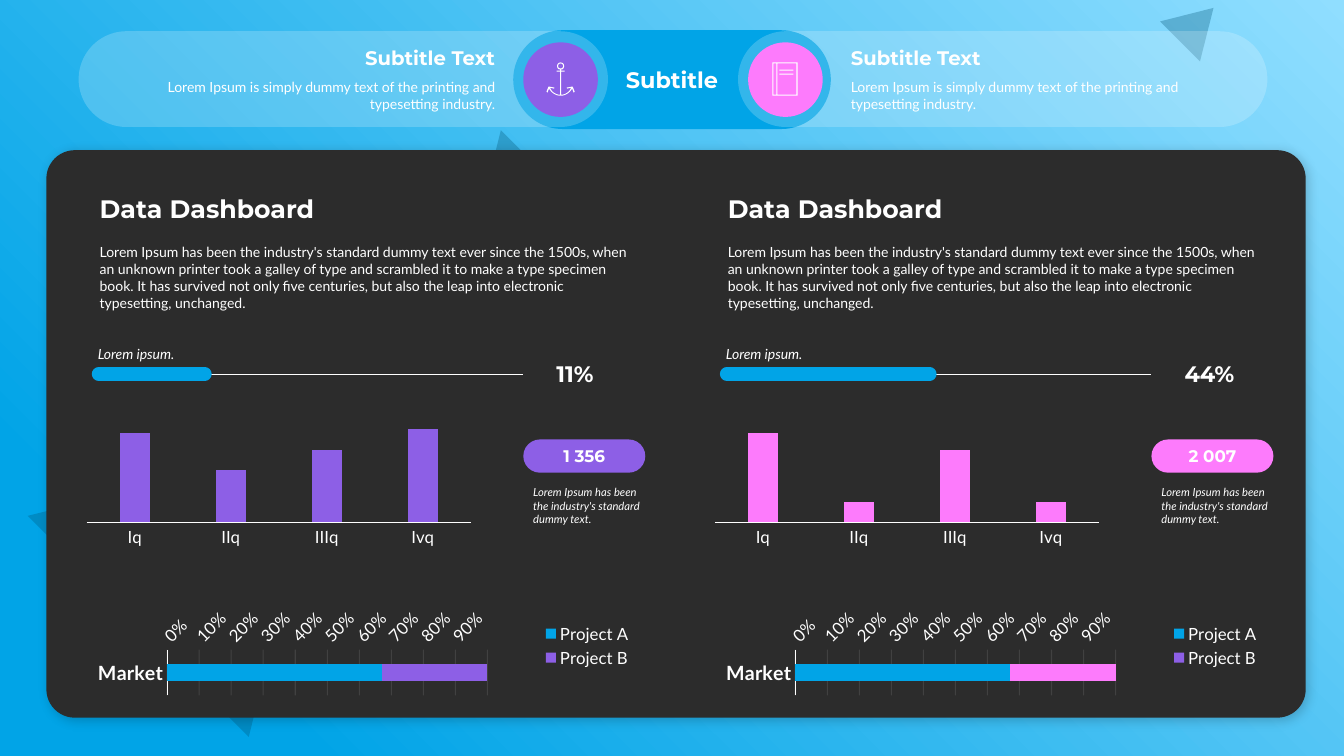
from math import cos, pi, sin

from lxml import etree
from pptx import Presentation
from pptx.chart.data import CategoryChartData
from pptx.dml.color import RGBColor
from pptx.enum.chart import XL_CHART_TYPE as Chart, XL_LEGEND_POSITION as LegendPosition, XL_TICK_MARK as Tick
from pptx.enum.shapes import MSO_CONNECTOR as Connector, MSO_SHAPE as Shape
from pptx.enum.text import MSO_ANCHOR as Anchor, MSO_AUTO_SIZE as AutoSize, PP_ALIGN as Align
from pptx.oxml import parse_xml
from pptx.oxml.ns import nsdecls, qn
from pptx.util import Inches, Pt

# Content
SUBTITLE = "Subtitle"
SIDE_TITLE = "Subtitle Text"
SIDE_TEXT = "Lorem Ipsum is simply dummy text of the printing and typesetting industry."
BODY = ("Lorem Ipsum has been the industry's standard dummy text ever since the 1500s, when an unknown "
        "printer took a galley of type and scrambled it to make a type specimen book. It has survived not "
        "only five centuries, but also the leap into electronic typesetting, unchanged.")
NOTE = "Lorem Ipsum has been the industry's standard dummy text."
QUARTERS = ["Iq", "IIq", "IIIq", "Ivq"]
MARKET = {"Project A": 67, "Project B": 33}
DASHBOARDS = [
    dict(accent="purple", percent="11%", bar=1.05, total="1 356", values=[96, 56, 78, 100], top=112),
    dict(accent="pink", percent="44%", bar=2.01, total="2 007", values=[100, 23, 81, 23], top=117),
]
TRIANGLES = [(0.73, 4.02, 3.1, 2.57, 45), (4.57, 1.5, 0.9, 0.75, 225), (11.59, 0.01, 0.56, 0.47, 45)]

# Right half of the anchor in thousandths of an inch; a group of three points is a curve
ANCHOR_HALF = [
    (0, 330), [(50, 330), (90, 300), (115, 260)], (130, 300), (140, 290), (120, 240), (110, 240),
    (60, 250), (65, 260), (105, 250), [(90, 290), (50, 320), (5, 320)], (5, 90), (40, 90), (40, 80),
    (5, 80), (5, 70), [(20, 70), (35, 60), (35, 35)], [(35, 15), (20, 0), (0, 0)],
]
BOOK_FRAMES = [(0, 0, 250, 330), (10, 10, 40, 320), (50, 10, 240, 320)]

THEME = dict(
    blue="01A4E7", light="90DEFF", navy="005274", dark="2C2C2C", white="FFFFFF",
    purple="8D5FE6", pink="FD7BFC", heading="Montserrat", body="Lato",
    title=18, big=16, side=14, label=12, text=10, small=8,
)
COLUMN_STEP = 6.23

presentation = Presentation()
presentation.slide_width, presentation.slide_height = Inches(13.33), Inches(7.5)
slide = presentation.slides.add_slide(presentation.slide_layouts[6])


def color(name):
    return RGBColor.from_string(THEME[name])


def set_alpha(elements, percent):
    for element in elements:
        etree.SubElement(element, qn("a:alpha")).set("val", str(percent * 1000))


def paint(shape, fill, alpha=None):
    shape.shadow.inherit = False
    shape.fill.solid()
    shape.fill.fore_color.rgb = color(fill)
    shape.line.fill.background()
    if alpha:
        set_alpha(shape.element.xpath("./p:spPr/a:solidFill/a:srgbClr"), alpha)
    return shape


def add_shape(kind, left, top, width, height, fill, alpha=None, radius=None):
    shape = slide.shapes.add_shape(kind, Inches(left), Inches(top), Inches(width), Inches(height))
    if radius is not None:
        shape.adjustments[0] = radius
    return paint(shape, fill, alpha)


def write(shape, text, size="text", font="body", bold=False, italic=False, align=Align.LEFT,
          anchor=Anchor.MIDDLE, after=0, insets=(0.1, 0.05, 0.1, 0.05)):
    frame = shape.text_frame
    frame.word_wrap = True
    frame.vertical_anchor = anchor
    frame.margin_left, frame.margin_top, frame.margin_right, frame.margin_bottom = map(Inches, insets)
    paragraph = frame.add_paragraph() if frame.text else frame.paragraphs[0]
    paragraph.alignment, paragraph.space_after = align, Pt(after)
    run = paragraph.add_run()
    run.text = text
    run.font.name, run.font.size = THEME[font], Pt(THEME[size])
    run.font.bold, run.font.italic, run.font.color.rgb = bold, italic, color("white")


def add_text(left, top, width, height, text, **style):
    box = slide.shapes.add_textbox(Inches(left), Inches(top), Inches(width), Inches(height))
    write(box, text, **style)
    box.text_frame.auto_size = AutoSize.SHAPE_TO_FIT_TEXT


def add_line(left, right, y, line_color, width, cap="flat"):
    line = slide.shapes.add_connector(Connector.STRAIGHT, Inches(left), Inches(y), Inches(right), Inches(y))
    line.line.color.rgb, line.line.width = color(line_color), Pt(width)
    line.line.fill.solid()
    line.line.color.rgb = color(line_color)
    line.element.spPr.find(qn("a:ln")).set("cap", cap)
    etree.SubElement(line.element.spPr, qn("a:effectLst"))


def add_outline(contours, left, top):
    builder = slide.shapes.build_freeform(*contours[0][0], scale=914.4)
    for index, contour in enumerate(contours):
        if index:
            builder.move_to(*contour[0])
        builder.add_line_segments(contour[1:], close=True)
    return paint(builder.convert_to_shape(Inches(left), Inches(top)), "white")


def flatten(outline, steps=8):
    points = []
    for part in outline:
        if isinstance(part, tuple):
            points.append(part)
            continue
        curve = [points[-1], *part]
        for step in range(1, steps + 1):
            t = step / steps
            weights = [(1 - t) ** 3, 3 * t * (1 - t) ** 2, 3 * t * t * (1 - t), t ** 3]
            points.append(tuple(sum(w * p[axis] for w, p in zip(weights, curve)) for axis in (0, 1)))
    return points


def add_chart(kind, left, top, width, height, categories, series, colors, gap, overlap, plot_area):
    data = CategoryChartData()
    data.categories = categories
    for name, values in series:
        data.add_series(name, values)
    chart = slide.shapes.add_chart(kind, Inches(left), Inches(top), Inches(width), Inches(height), data).chart
    chart.has_title = chart.has_legend = False
    chart.font.name, chart.font.size, chart.font.color.rgb = THEME["body"], Pt(THEME["label"]), color("white")
    plot = chart.plots[0]
    plot.vary_by_categories, plot.gap_width, plot.overlap = False, gap, overlap
    for item, fill in zip(plot.series, colors):
        item.format.fill.solid()
        item.format.fill.fore_color.rgb = color(fill)
    for axis in (chart.category_axis, chart.value_axis):
        axis.major_tick_mark = axis.minor_tick_mark = Tick.NONE
    axis_line = chart.category_axis.format.line
    axis_line.color.rgb, axis_line.width = color("white"), Pt(0.75)
    # Fixed inner plot area
    area = chart.element.xpath("c:chart/c:plotArea")[0]
    for layout in area.findall(qn("c:layout")):
        area.remove(layout)
    settings = [("layoutTarget", "inner"), ("xMode", "edge"), ("yMode", "edge"), *zip("xywh", plot_area)]
    tags = "".join(f'<c:{tag} val="{value}"/>' for tag, value in settings)
    area.insert(0, parse_xml(f'<c:layout {nsdecls("c")}><c:manualLayout>{tags}</c:manualLayout></c:layout>'))
    return chart


def add_dashboard(x, accent, percent, bar, total, values, top):
    pill = add_shape(Shape.ROUNDED_RECTANGLE, x + 5.19, 4.36, 1.21, 0.33, accent, radius=0.5)
    write(pill, total, size="label", font="heading", bold=True, align=Align.CENTER, insets=(0, 0, 0, 0))
    add_text(x + 5.19, 4.77, 1.38, 0.5, NOTE, size="small", italic=True, anchor=Anchor.TOP)
    # Quarterly columns
    columns = add_chart(Chart.COLUMN_CLUSTERED, x + 0.78, 3.98, 4.01, 1.65, QUARTERS, [("Series 1", values)],
                        [accent], 219, -27, (0.02, 0.1, 0.95, 0.63))
    columns.value_axis.has_major_gridlines = columns.value_axis.visible = False
    columns.value_axis.minimum_scale, columns.value_axis.maximum_scale = 0, top
    # Market share
    market = add_chart(Chart.BAR_STACKED_100, x + 0.89, 5.89, 5.48, 1.03, ["Market"],
                       [(name, [value]) for name, value in MARKET.items()], ["blue", "purple"],
                       155, 100, (0.14, 0.54, 0.58, 0.44))
    point_fill = market.plots[0].series[1].points[0].format.fill
    point_fill.solid()
    point_fill.fore_color.rgb = color(accent)
    market.has_legend = True
    market.legend.position, market.legend.include_in_layout = LegendPosition.RIGHT, False
    names, shares = market.category_axis, market.value_axis
    names.reverse_order = True
    names.tick_labels.font.size, names.tick_labels.font.bold = Pt(THEME["side"]), True
    shares.major_unit = 0.1
    shares.tick_labels.number_format, shares.tick_labels.number_format_is_linked = "0%", False
    shares.tick_labels.font.size = Pt(THEME["label"])
    market.element.xpath(".//c:valAx/c:txPr/a:bodyPr")[0].set("rot", str(-45 * 60000))
    shares.format.line.fill.background()
    grid = shares.major_gridlines.format.line
    grid.color.rgb, grid.width = color("white"), Pt(0.75)
    set_alpha(market.element.xpath(".//c:majorGridlines//a:srgbClr"), 10)
    # Text and progress bar
    add_text(x + 0.89, 2.37, 5.48, 0.77, BODY, anchor=Anchor.TOP, after=6)
    add_text(x + 0.89, 1.87, 5.48, 0.4, "Data Dashboard", size="title", font="heading", bold=True,
             anchor=Anchor.BOTTOM)
    add_line(x + 0.93, x + 5.19, 3.71, "white", 0.5)
    add_line(x + 0.98, x + 0.98 + bar, 3.71, "blue", 10, cap="rnd")
    add_text(x + 5.42, 3.52, 0.95, 0.37, percent, size="big", font="heading", bold=True)
    add_text(x + 0.89, 3.37, 1.92, 0.27, "Lorem ipsum.", italic=True, anchor=Anchor.BOTTOM,
             insets=(0.08, 0.05, 0.1, 0.05))


# Background
slide.background.fill.solid()
slide.background.fill.fore_color.rgb = color("dark")
backdrop = add_shape(Shape.RECTANGLE, 0, 0, 13.33, 7.5, "blue")
gradient = parse_xml(
    f'<a:gradFill {nsdecls("a")} rotWithShape="1"><a:gsLst>'
    f'<a:gs pos="0"><a:srgbClr val="{THEME["light"]}"/></a:gs>'
    f'<a:gs pos="85000"><a:srgbClr val="{THEME["blue"]}"/></a:gs></a:gsLst>'
    '<a:path path="circle"><a:fillToRect l="100000" b="100000"/></a:path></a:gradFill>')
solid = backdrop.element.spPr.find(qn("a:solidFill"))
solid.getparent().replace(solid, gradient)
for *place, angle in TRIANGLES:
    add_shape(Shape.ISOSCELES_TRIANGLE, *place, "navy", alpha=30).rotation = angle

# Header
center = add_shape(Shape.ROUNDED_RECTANGLE, 5.09, 0.3, 3.15, 0.98, "blue", radius=0.5)
write(center, SUBTITLE, size="big", font="heading", bold=True, align=Align.CENTER, insets=(0.87, 0.05, 0.87, 0.05))
for left, align, insets in [(7.32, Align.LEFT, (0.98, 0.05, 0.2, 0.05)), (0.78, Align.RIGHT, (0.2, 0.05, 0.98, 0.05))]:
    side = add_shape(Shape.ROUNDED_RECTANGLE, left, 0.31, 5.25, 0.95, "white", alpha=20, radius=0.5)
    write(side, SIDE_TITLE, size="side", font="heading", bold=True, align=align, after=6, insets=insets)
    write(side, SIDE_TEXT, align=align, after=6, insets=insets)
for left, fill in [(5.19, "purple"), (7.42, "pink")]:
    add_shape(Shape.OVAL, left, 0.42, 0.74, 0.74, fill)

# Anchor and book icons
half = flatten(ANCHOR_HALF)
ring = [(25 * cos(k * pi / 12), 35 + 25 * sin(k * pi / 12)) for k in range(24)]
add_outline([half + [(-px, py) for px, py in reversed(half)], ring], 5.56, 0.62)
book = [add_outline([[(l, t), (r, t), (r, b), (l, b)] for l, t, r, b in BOOK_FRAMES], 7.66, 0.62)]
book += [add_shape(Shape.RECTANGLE, 7.73, top, 0.14, 0.01, "white") for top in (0.69, 0.73)]
slide.shapes.add_group_shape(book)

# Dashboard panel
panel = add_shape(Shape.ROUNDED_RECTANGLE, 0.46, 1.49, 12.49, 5.63, "dark", radius=0.05)
panel.element.spPr.find(qn("a:effectLst")).append(parse_xml(
    f'<a:outerShdw {nsdecls("a")} blurRad="{Pt(8)}" dist="{Pt(3)}" dir="2700000" algn="tl" rotWithShape="0">'
    '<a:srgbClr val="000000"><a:alpha val="20000"/></a:srgbClr></a:outerShdw>'))
for index, dashboard in enumerate(DASHBOARDS):
    add_dashboard(index * COLUMN_STEP, **dashboard)

presentation.save("out.pptx")
